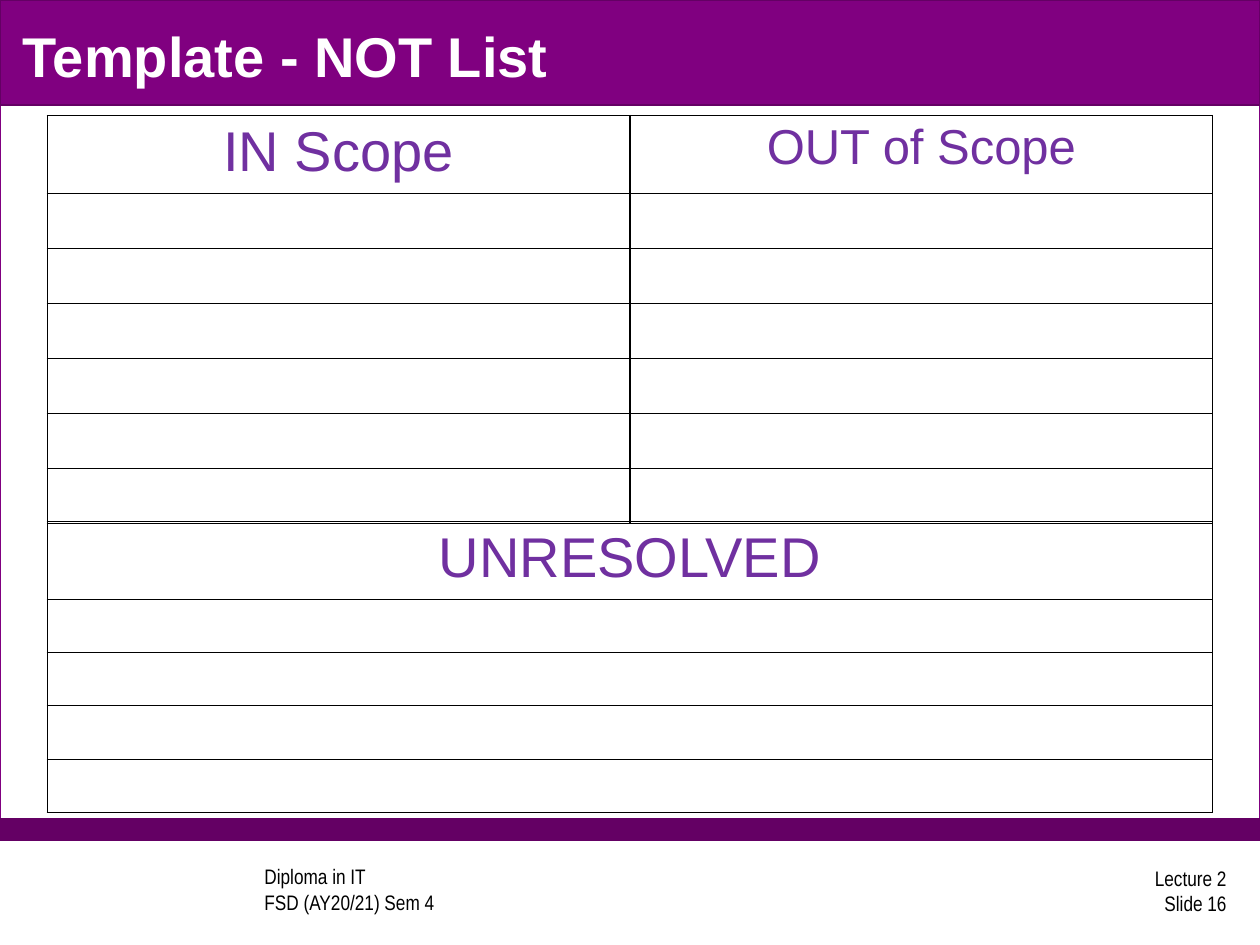
"""Build the NOT List template slide with scope and unresolved tables."""
from lxml import etree
from pptx import Presentation
from pptx.dml.color import RGBColor
from pptx.enum.shapes import MSO_SHAPE
from pptx.enum.text import MSO_ANCHOR, PP_ALIGN
from pptx.oxml.ns import qn
from pptx.util import Pt

RECTANGLE = MSO_SHAPE.RECTANGLE
TOP, MIDDLE, BOTTOM = MSO_ANCHOR.TOP, MSO_ANCHOR.MIDDLE, MSO_ANCHOR.BOTTOM
LEFT, CENTER, RIGHT = PP_ALIGN.LEFT, PP_ALIGN.CENTER, PP_ALIGN.RIGHT
PURPLE, DARK_PURPLE, VIOLET = "800080", "640064", "7030A0"
WHITE, BLACK = "FFFFFF", "000000"


def color(value):
    return RGBColor.from_string(value)


def write(frame, text, size=12, font="Arial Narrow", fill=BLACK, bold=False,
          align=LEFT, anchor=MIDDLE):
    frame.word_wrap = True
    frame.vertical_anchor = anchor
    paragraph = frame.paragraphs[0]
    paragraph.text = text
    paragraph.alignment = align
    for run in paragraph.runs:
        run.font.size = Pt(size)
        run.font.name = font
        run.font.bold = bold
        run.font.color.rgb = color(fill)


presentation = Presentation()
presentation.slide_width, presentation.slide_height = Pt(720), Pt(540)
slide = presentation.slides.add_slide(presentation.slide_layouts[6])

for top, height, fill, line in [
    (0, 480, WHITE, PURPLE),
    (468, 12, DARK_PURPLE, DARK_PURPLE),
    (0, 60, PURPLE, DARK_PURPLE),
]:
    shape = slide.shapes.add_shape(RECTANGLE, 0, Pt(top), Pt(720), Pt(height))
    shape.shadow.inherit = False
    shape.fill.solid()
    shape.fill.fore_color.rgb = color(fill)
    shape.line.color.rgb = color(line)
    shape.line.width = Pt(0.75)

for text, left, top, width, height, style in [
    ("Diploma in IT\nFSD (AY20/21) Sem 4", 144, 496, 192, 30, {"anchor": BOTTOM}),
    ("Lecture 2\nSlide 16", 558, 494, 150, 30, {"align": RIGHT}),
    ("Template - NOT List", 6, 9, 708, 45,
     {"size": 32, "font": "Arial", "fill": WHITE, "bold": True}),
]:
    box = slide.shapes.add_textbox(Pt(left), Pt(top), Pt(width), Pt(height))
    write(box.text_frame, text, **style)

for top, row_height, row_count, headings in [
    (66, 31.5, 7, [("IN Scope", 32), ("OUT of Scope", 28)]),
    (298, 30.5, 5, [("UNRESOLVED", 32)]),
]:
    heights = [41.8] + [row_height] * (row_count - 1)
    table = slide.shapes.add_table(row_count, len(headings), Pt(27), Pt(top),
                                   Pt(666), Pt(sum(heights))).table
    table.first_row = table.horz_banding = False
    for row, height in zip(table.rows, heights):
        row.height = Pt(height)
    for cell in table.iter_cells():
        cell.margin_left = cell.margin_right = Pt(3)
        cell.margin_top = cell.margin_bottom = Pt(3)
        properties = cell._tc.get_or_add_tcPr()
        for side in ("a:lnL", "a:lnR", "a:lnT", "a:lnB"):
            border = etree.SubElement(properties, qn(side), w=str(Pt(0.75)))
            solid = etree.SubElement(border, qn("a:solidFill"))
            etree.SubElement(solid, qn("a:srgbClr"), val=BLACK)
        cell.fill.background()
    for column, (heading, size) in enumerate(headings):
        cell = table.cell(0, column)
        write(cell.text_frame, heading, size=size, font="Arial", fill=VIOLET,
              align=CENTER, anchor=TOP)

presentation.save("out.pptx")
